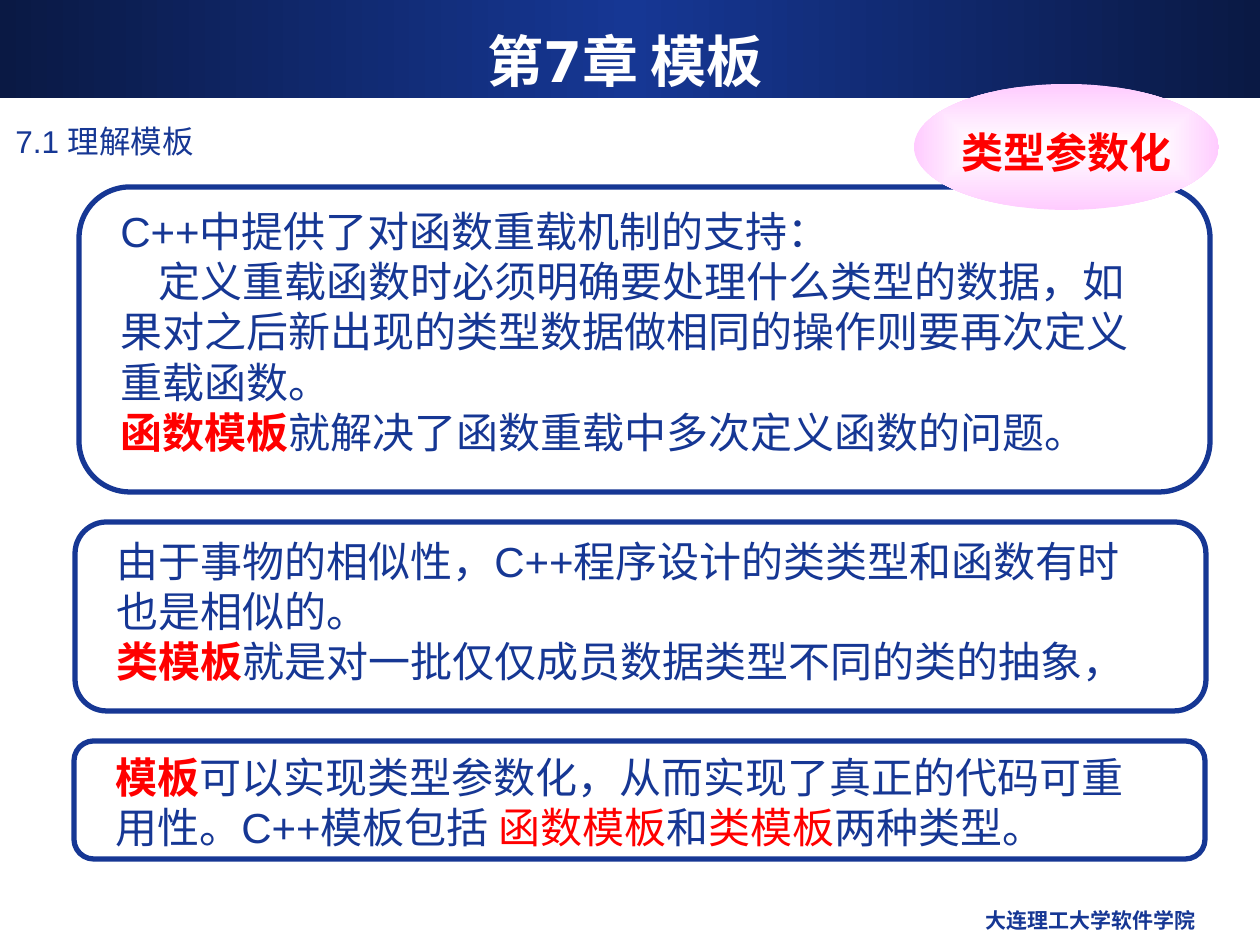
from pptx import Presentation
from pptx.dml.color import RGBColor
from pptx.enum.shapes import MSO_SHAPE
from pptx.enum.text import MSO_ANCHOR, PP_ALIGN
from pptx.oxml import parse_xml
from pptx.oxml.ns import nsdecls, qn

PX = 914400 // 126  # EMU in one px
NAVY, DARK, RED, WHITE, PINK = "163794", "0A1944", "FF0000", "FFFFFF", "FFCCFF"


def color(hex_code):
    return RGBColor.from_string(hex_code)


def write(para, text, size=24, font="Arial", fill=NAVY, bold=False, align=None):
    if align is not None:
        para.alignment = align
    span = para.add_run()
    span.text = text
    span.font.size = size * 12700
    span.font.name = font
    span.font.bold = bold
    span.font.color.rgb = color(fill)


deck = Presentation()
deck.slide_width, deck.slide_height = 1260 * PX, 945 * PX
page = deck.slides.add_slide(deck.slide_layouts[5])

# Header band, kept behind the title
band = page.shapes.add_shape(MSO_SHAPE.RECTANGLE, 0, 0, 1260 * PX, 98 * PX)
page.shapes.element.insert(2, band.element)

# Title
title = page.shapes.title
title.left, title.top, title.width, title.height = 42 * PX, 21 * PX, 1166 * PX, 78 * PX
title.text_frame.vertical_anchor = MSO_ANCHOR.MIDDLE
write(title.text_frame.paragraphs[0], "第7章 模板", size=32, font="DejaVu Sans",
      fill=WHITE, bold=True, align=PP_ALIGN.CENTER)

# Section heading and footer
labels = [
    (3, 116, 1166, 52, "7.1 理解模板", dict(size=18)),
    (809, 901, 399, 44, "大连理工大学软件学院", dict(size=12, bold=True, align=PP_ALIGN.RIGHT)),
]
for left, top, width, height, text, style in labels:
    box = page.shapes.add_textbox(left * PX, top * PX, width * PX, height * PX)
    box.text_frame.word_wrap = True
    write(box.text_frame.paragraphs[0], text, **style)

# Framed panels: left, top, height, text top, text height, paragraphs of (text, style)
key = dict(fill=RED, bold=True)
red = dict(fill=RED)
panels = [
    (79, 187, 305, 199, 265, [
        [("C++中提供了对函数重载机制的支持：", {})],
        [("定义重载函数时必须明确要处理什么类型的数据，如果对之后新出现的类型数据"
          "做相同的操作则要再次定义重载函数。", {})],
        [("函数模板", key), ("就解决了函数重载中多次定义函数的问题。", {})],
    ]),
    (75, 522, 189, 529, 164, [
        [("由于事物的相似性，C++程序设计的类类型和函数有时也是相似的。", {})],
        [("类模板", key), ("就是对一批仅仅成员数据类型不同的类的抽象，", {})],
    ]),
    (74, 741, 118, 745, 113, [
        [("模板", key), ("可以实现类型参数化，从而实现了真正的代码可重用性。C++模板包括 ", {}),
         ("函数模板", red), ("和", {}), ("类模板", red), ("两种类型。", {})],
    ]),
]
for left, top, height, text_top, text_height, paragraphs in panels:
    panel = page.shapes.add_group_shape()
    frame = panel.shapes.add_shape(MSO_SHAPE.ROUNDED_RECTANGLE, left * PX, top * PX,
                                   1131 * PX, height * PX)
    frame.shadow.inherit = False
    frame.fill.background()
    frame.line.color.rgb = color(NAVY)
    frame.line.width = 3 * 12700
    box = panel.shapes.add_textbox((left + 29) * PX, text_top * PX, 1053 * PX, text_height * PX)
    box.text_frame.word_wrap = True
    for number, spans in enumerate(paragraphs):
        para = box.text_frame.paragraphs[0] if number == 0 else box.text_frame.add_paragraph()
        if spans[0][0].startswith("定义"):  # first-line indent
            para._p.get_or_add_pPr().set("indent", str(38 * PX))
        for text, style in spans:
            write(para, text, **style)

# Callout ellipse
callout = page.shapes.add_shape(MSO_SHAPE.OVAL, 914 * PX, 84 * PX, 305 * PX, 126 * PX)
callout.text_frame.word_wrap = False
callout.text_frame.vertical_anchor = MSO_ANCHOR.MIDDLE
para = callout.text_frame.paragraphs[0]
para.line_spacing = 1.2
write(para, "类型参数化", font="Times New Roman", fill=RED, bold=True, align=PP_ALIGN.CENTER)

# Gradient fills of the band and the callout
linear = '<a:lin ang="0" scaled="0"/>'
centred = '<a:path path="rect"><a:fillToRect l="50000" t="50000" r="50000" b="50000"/></a:path>'
for shape, stops, direction in [
    (band, [(0, DARK), (50, NAVY), (100, DARK)], linear),
    (callout, [(0, WHITE), (100, PINK)], centred),
]:
    shape.shadow.inherit = False
    shape.line.fill.background()
    shape.fill.gradient()
    stop_xml = "".join(f'<a:gs pos="{pos * 1000}"><a:srgbClr val="{color(tone)}"/></a:gs>'
                       for pos, tone in stops)
    gradient = parse_xml(f'<a:gradFill {nsdecls("a")} rotWithShape="1">'
                         f'<a:gsLst>{stop_xml}</a:gsLst>{direction}</a:gradFill>')
    properties = shape.element.spPr
    properties.replace(properties.find(qn("a:gradFill")), gradient)

deck.save("out.pptx")
